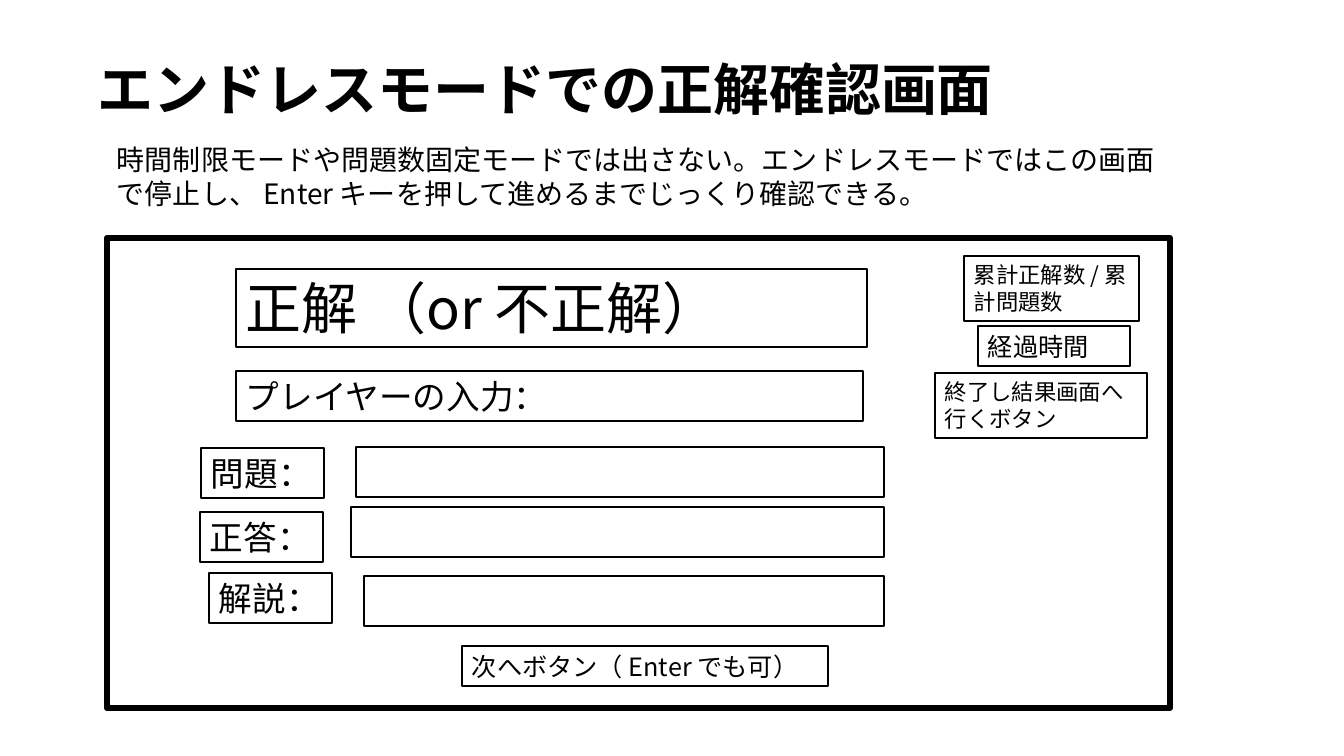
from lxml import etree
from pptx import Presentation, util as u
from pptx.dml.color import RGBColor
from pptx.enum import shapes, text
from pptx.oxml import ns

TITLE = "エンドレスモードでの正解確認画面"
NOTE = ("時間制限モードや問題数固定モードでは出さない。エンドレスモードではこの画面で停止し、"
        " Enter キーを押して進めるまでじっくり確認できる。")
FRAME = (107, 238, 1063, 470)
BOXES = [
    ("正解 （or 不正解）", 40, (236, 269, 631, 78)),
    ("プレイヤーの入力：", 24, (236, 371, 627, 50)),
    ("累計正解数 / 累計問題数", 16, (964, 256, 175, 65)),
    ("経過時間", 18, (978, 326, 152, 40)),
    ("終了し結果画面へ行くボタン", 16, (935, 373, 212, 65)),
    ("次へボタン（ Enter でも可）", 18, (462, 646, 366, 40)),
]
ROWS = [
    ("問題：", (201, 448), (356, 447)),
    ("正答：", (200, 512), (351, 507)),
    ("解説：", (209, 573), (364, 576)),
]
ROW_HEIGHT = 50
LABEL_WIDTH = 123
FIELD_RIGHT = 884

FONT = "Noto Sans CJK JP"
BLACK = RGBColor(0, 0, 0)
WHITE = RGBColor(255, 255, 255)
PIXEL = u.Inches(1) / 100.8

deck = Presentation()
deck.slide_width = round(1344 * PIXEL)
deck.slide_height = round(756 * PIXEL)
page = deck.slides.add_slide(deck.slide_layouts[6])


def scaled(area):
    return [round(length * PIXEL) for length in area]


def write(box, words, size, bold=False):
    frame = box.text_frame
    frame.word_wrap = True
    frame.auto_size = text.MSO_AUTO_SIZE.SHAPE_TO_FIT_TEXT
    frame.vertical_anchor = text.MSO_ANCHOR.TOP
    para = frame.paragraphs[0]
    para.alignment = text.PP_ALIGN.LEFT
    span = para.add_run()
    span.text = words
    span.font.size = u.Pt(size)
    span.font.bold = bold
    span.font.name = FONT
    span.font.color.rgb = BLACK
    east_asian = etree.SubElement(span.font._element, ns.qn("a:ea"))
    east_asian.set("typeface", FONT)


def add_box(area, words="", size=24, weight=1):
    box = page.shapes.add_shape(shapes.MSO_SHAPE.RECTANGLE, *scaled(area))
    box.shadow.inherit = False
    box.fill.solid()
    box.fill.fore_color.rgb = WHITE
    box.line.color.rgb = BLACK
    box.line.width = u.Pt(weight)
    if words:
        write(box, words, size)


def add_text(area, words, **style):
    write(page.shapes.add_textbox(*scaled(area)), words, **style)


add_text((88, 50, 1084, 78), TITLE, size=40, bold=True)
add_text((107, 138, 1077, 78), NOTE, size=20)
add_box(FRAME, weight=4.5)
for words, size, area in BOXES:
    add_box(area, words, size)
for words, label, field in ROWS:
    add_box((*label, LABEL_WIDTH, ROW_HEIGHT), words)
    add_box((*field, FIELD_RIGHT - field[0], ROW_HEIGHT))

deck.save("out.pptx")
